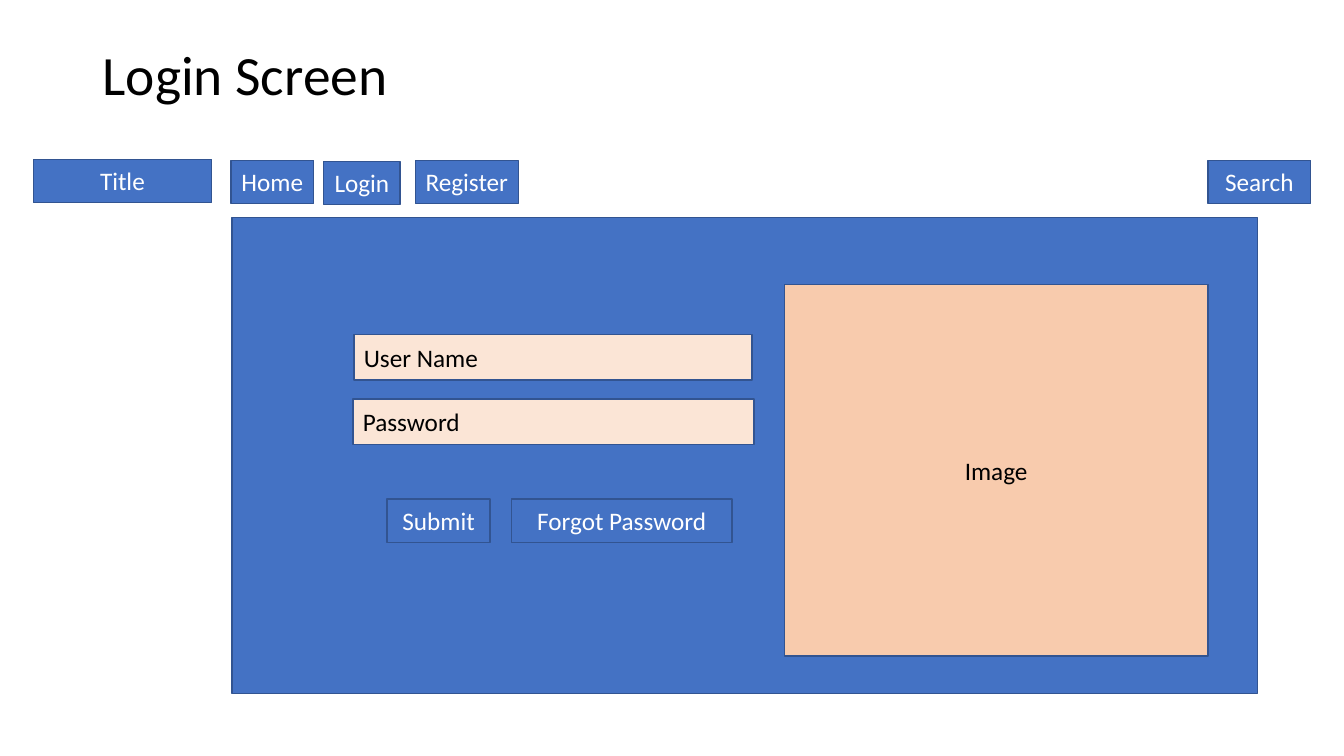
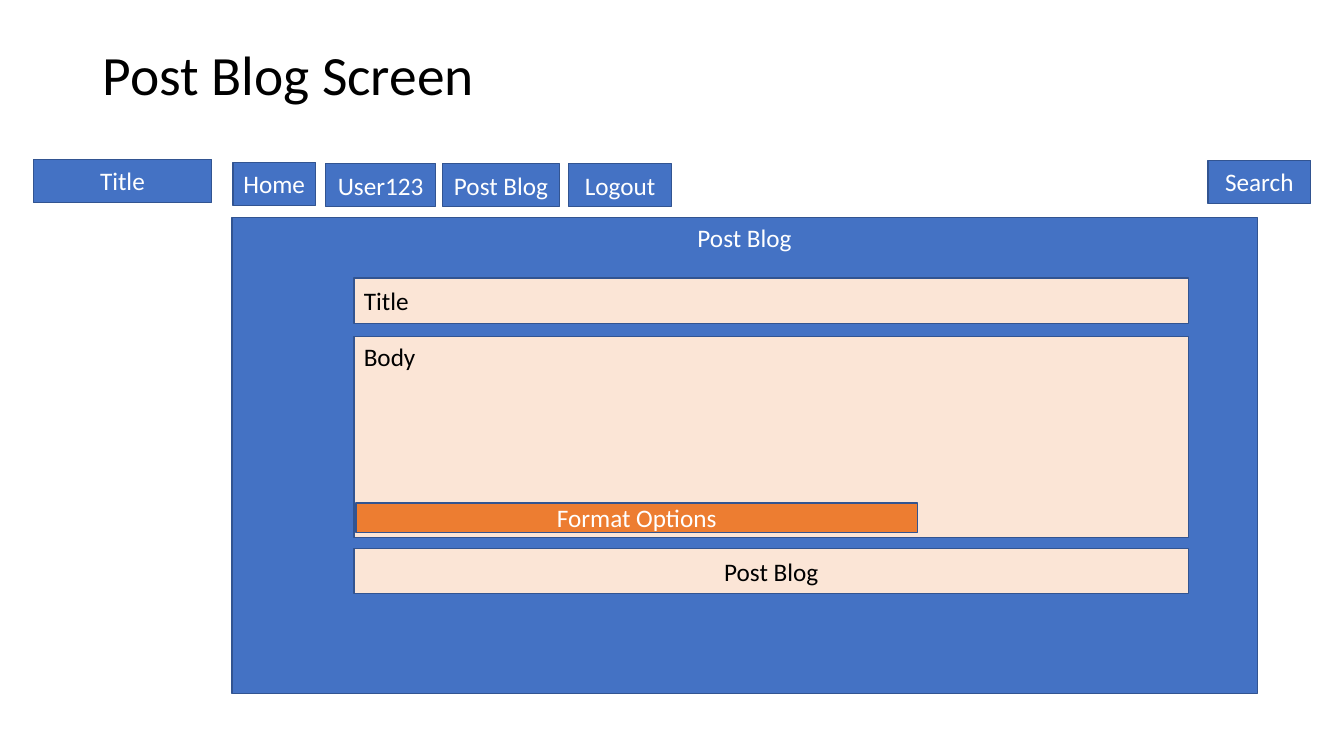
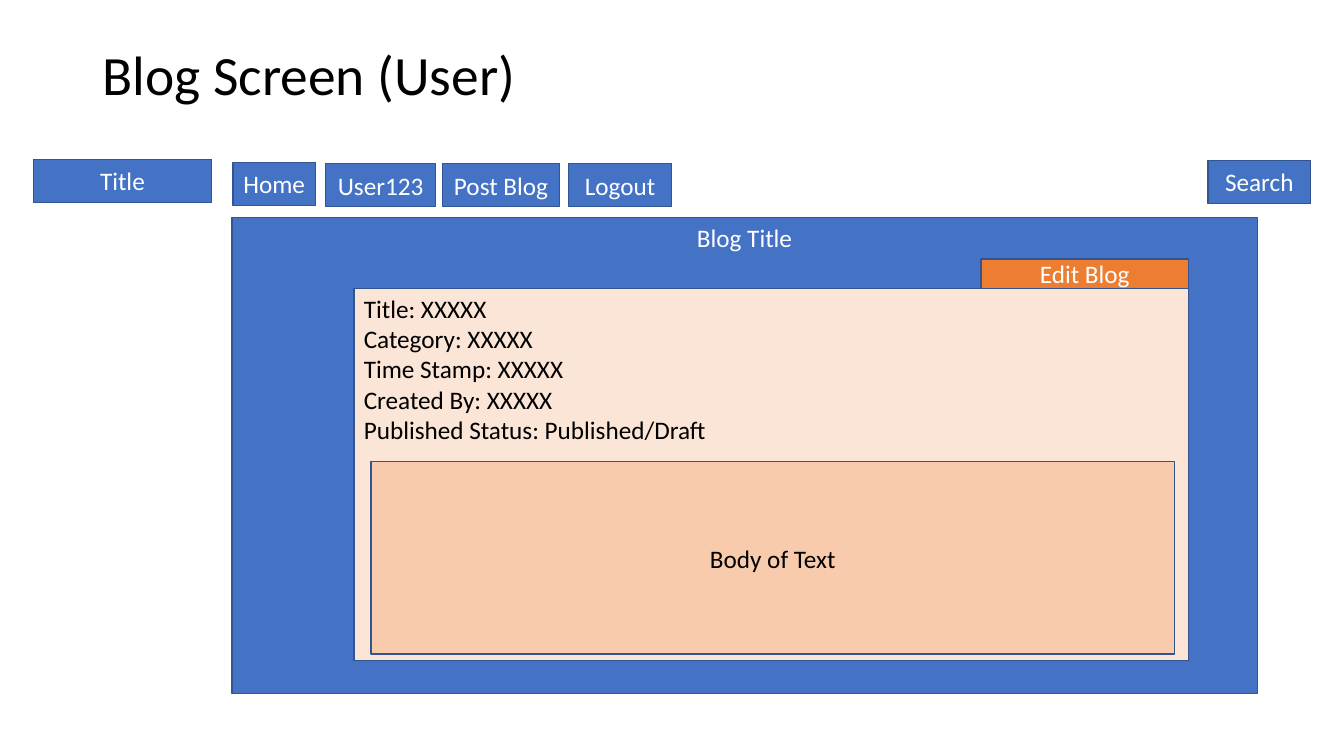
from dataclasses import dataclass

from pptx import Presentation
from pptx.dml.color import RGBColor
from pptx.enum.shapes import MSO_SHAPE
from pptx.enum.text import MSO_ANCHOR, PP_ALIGN
from pptx.slide import Slide
from pptx.text.text import TextFrame
from pptx.util import Inches, Pt

COLORS = {
    "blue": "4472C4",
    "outline": "325491",
    "cream": "FBE5D6",
    "peach": "F8CBAD",
    "orange": "ED7D31",
    "white": "FFFFFF",
    "black": "000000",
}
TEXT_ON_FILL = {"blue": "white", "orange": "white", "cream": "black", "peach": "black"}
FONT = "Calibri"
BUTTON_HEIGHT = 0.43
FIELD_HEIGHT = 0.45
STRIP_HEIGHT = 0.29
FORM_LEFT = 3.51
FORM_WIDTH = 8.28


@dataclass(frozen=True)
class Box:
    left: float
    top: float
    width: float
    height: float
    lines: tuple[str, ...] = ()
    fill: str = "blue"
    align: PP_ALIGN = PP_ALIGN.CENTER
    anchor: MSO_ANCHOR = MSO_ANCHOR.MIDDLE


@dataclass(frozen=True)
class Screen:
    title: str
    navigation: tuple[Box, ...]
    content: tuple[Box, ...]
    panel_heading: tuple[str, ...] = ()


def button(label: str, left: float, top: float, width: float = 1.02) -> Box:
    return Box(left, top, width, BUTTON_HEIGHT, (label,))


def field(label: str, top: float, left: float = FORM_LEFT, width: float = FORM_WIDTH,
          align: PP_ALIGN = PP_ALIGN.LEFT) -> Box:
    return Box(left, top, width, FIELD_HEIGHT, (label,), "cream", align)


def text_area(lines: tuple[str, ...], top: float, height: float) -> Box:
    return Box(FORM_LEFT, top, FORM_WIDTH, height, lines, "cream", PP_ALIGN.LEFT, MSO_ANCHOR.TOP)


def strip(label: str, left: float, top: float, width: float) -> Box:
    return Box(left, top, width, STRIP_HEIGHT, (label,), "orange")


SITE_BUTTONS = (button("Title", 0.33, 1.58, 1.77), button("Search", 11.98, 1.59))
GUEST_BUTTONS = (
    button("Home", 2.29, 1.59, 0.82),
    button("Login", 3.21, 1.6, 0.76),
    button("Register", 4.12, 1.59),
)
MEMBER_BUTTONS = (
    button("Home", 2.31, 1.61, 0.82),
    button("User123", 3.23, 1.62, 1.09),
    button("Post Blog", 4.39, 1.62, 1.16),
    button("Logout", 5.64, 1.62),
)
BLOG_DETAILS = (
    "Title: XXXXX",
    "Category: XXXXX",
    "Time Stamp: XXXXX",
    "Created By: XXXXX",
    "Published Status: Published/Draft",
)

SCREENS = (
    Screen(
        "Login Screen",
        GUEST_BUTTONS,
        (
            field("User Name", 3.32, width=3.95),
            field("Password", 3.96, 3.5, 3.98),
            button("Submit", 3.84, 4.95),
            button("Forgot Password", 5.07, 4.95, 2.19),
            Box(7.78, 2.82, 4.2, 3.69, ("Image",), "peach"),
        ),
    ),
    Screen(
        "Post Blog Screen",
        MEMBER_BUTTONS,
        (
            field("Title", 2.76),
            text_area(("Body",), 3.34, 1.99),
            strip("Format Options", 3.53, 4.99, 5.57),
            field("Post Blog", 5.44, align=PP_ALIGN.CENTER),
        ),
        ("Post Blog",),
    ),
    Screen(
        "Blog Screen (User)",
        MEMBER_BUTTONS,
        (
            strip("Edit Blog", 9.73, 2.57, 2.06),
            text_area(BLOG_DETAILS, 2.86, 3.69),
            Box(3.68, 4.58, 7.97, 1.91, ("Body of Text",), "peach"),
        ),
        ("Blog Title",),
    ),
)


def color(name: str) -> RGBColor:
    return RGBColor.from_string(COLORS[name])


def write_lines(frame: TextFrame, lines: tuple[str, ...], size: float, color_name: str,
                align: PP_ALIGN, line_spacing: float = 1.0) -> None:
    for index, line in enumerate(lines):
        paragraph = frame.add_paragraph() if index else frame.paragraphs[0]
        paragraph.alignment = align
        paragraph.line_spacing = line_spacing
        run = paragraph.add_run()
        run.text = line
        run.font.name = FONT
        run.font.size = Pt(size)
        run.font.color.rgb = color(color_name)


def draw_box(slide: Slide, box: Box) -> None:
    shape = slide.shapes.add_shape(
        MSO_SHAPE.RECTANGLE,
        Inches(box.left), Inches(box.top), Inches(box.width), Inches(box.height),
    )
    shape.shadow.inherit = False
    shape.fill.solid()
    shape.fill.fore_color.rgb = color(box.fill)
    shape.line.color.rgb = color("outline")
    shape.line.width = Pt(1)
    frame = shape.text_frame
    frame.word_wrap = box.align != PP_ALIGN.CENTER
    frame.vertical_anchor = box.anchor
    write_lines(frame, box.lines, 18, TEXT_ON_FILL[box.fill], box.align)


def draw_title(slide: Slide, title: str) -> None:
    frame = slide.shapes.add_textbox(
        Inches(0.92), Inches(0.4), Inches(11.5), Inches(0.73)
    ).text_frame
    frame.word_wrap = True
    frame.vertical_anchor = MSO_ANCHOR.MIDDLE
    write_lines(frame, (title,), 39.6, "black", PP_ALIGN.LEFT, 0.9)


def draw_screen(slide: Slide, screen: Screen) -> None:
    draw_title(slide, screen.title)
    panel = Box(2.3, 2.16, 10.17, 4.72, screen.panel_heading, anchor=MSO_ANCHOR.TOP)
    for box in (*SITE_BUTTONS, *screen.navigation, panel, *screen.content):
        draw_box(slide, box)


def main() -> None:
    presentation = Presentation()
    presentation.slide_width = Inches(13.33)
    presentation.slide_height = Inches(7.5)
    blank_layout = presentation.slide_layouts[6]
    for screen in SCREENS:
        draw_screen(presentation.slides.add_slide(blank_layout), screen)
    presentation.save("out.pptx")


if __name__ == "__main__":
    main()
